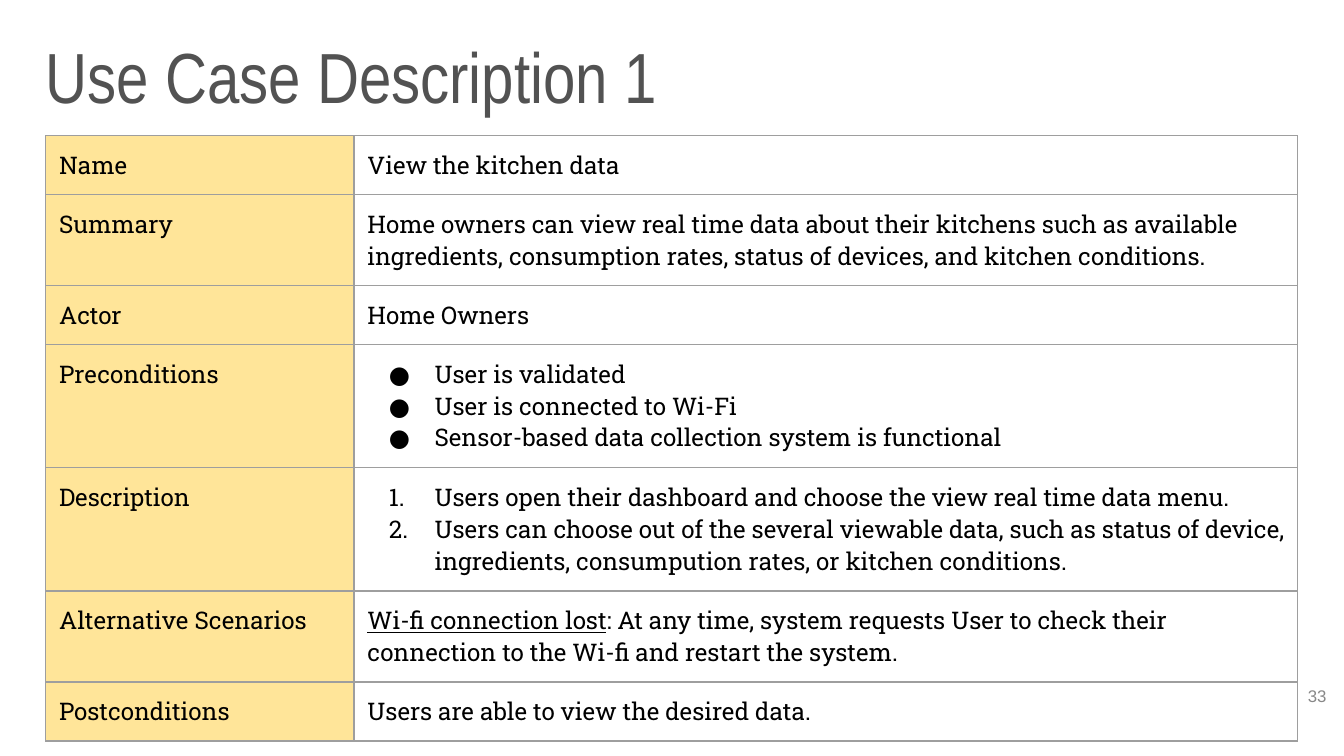
from dataclasses import dataclass

from lxml.etree import SubElement
from pptx import Presentation
from pptx.dml.color import RGBColor as Rgb
from pptx.enum.text import MSO_ANCHOR as Anchor, PP_ALIGN as Align
from pptx.oxml.ns import qn
from pptx.util import Pt

COLORS = {
    "title": "525252",
    "body": "000000",
    "number": "888888",
    "label": "FFE599",
    "border": "9E9E9E",
}
BODY_FONT = "Roboto Slab"
CELL_INSET = 7.2
LINE_HEIGHT = 17.2
COLUMN_WIDTHS = (165.2, 505.4)


@dataclass(frozen=True)
class UseCaseRow:
    label: str
    paragraphs: tuple[str, ...]
    lines: int
    marker: str = ""
    lead: str = ""


USE_CASE = (
    UseCaseRow("Name", ("View the kitchen data",), 1),
    UseCaseRow("Summary", (
        "Home owners can view real time data about their kitchens such as available "
        "ingredients, consumption rates, status of devices, and kitchen conditions.",
    ), 2),
    UseCaseRow("Actor", ("Home Owners",), 1),
    UseCaseRow("Preconditions", (
        "User is validated",
        "User is connected to Wi-Fi",
        "Sensor-based data collection system is functional",
    ), 3, marker="bullet"),
    UseCaseRow("Description", (
        "Users open their dashboard and choose the view real time data menu.",
        "Users can choose out of the several viewable data, such as status of device, "
        "ingredients, consumpution rates, or kitchen conditions.",
    ), 3, marker="number"),
    UseCaseRow("Alternative Scenarios", (
        ": At any time, system requests User to check their "
        "connection to the Wi-fi and restart the system.",
    ), 2, lead="Wi-fi connection lost"),
    UseCaseRow("Postconditions", ("Users are able to view the desired data.",), 1),
)


def write(paragraph, text: str, *, size: float = 13, font: str = BODY_FONT,
          color: str = "body", underline: bool = False, align=None) -> None:
    run = paragraph.add_run()
    run.text = text
    run.font.size = Pt(size)
    run.font.name = font
    run.font.color.rgb = Rgb.from_string(COLORS[color])
    run.font.underline = underline
    if align is not None:
        paragraph.alignment = align


def add_marker(paragraph, marker: str) -> None:
    properties = paragraph._p.get_or_add_pPr()
    properties.set("marL", str(Pt(36)))
    properties.set("indent", str(-Pt(24.5)))
    tint = SubElement(properties, qn("a:buClr"))
    SubElement(tint, qn("a:srgbClr"), val=COLORS["body"])
    SubElement(properties, qn("a:buFont"), typeface=BODY_FONT)
    if marker == "bullet":
        SubElement(properties, qn("a:buChar"), char="●")
    else:
        SubElement(properties, qn("a:buAutoNum"), type="arabicPeriod")


def style_cell(cell, fill: str = "") -> None:
    cell.margin_left = cell.margin_right = Pt(CELL_INSET)
    cell.margin_top = cell.margin_bottom = Pt(CELL_INSET)
    properties = cell._tc.get_or_add_tcPr()
    for side in ("lnL", "lnR", "lnT", "lnB"):
        border = SubElement(properties, qn(f"a:{side}"), w=str(Pt(0.75)))
        paint = SubElement(border, qn("a:solidFill"))
        SubElement(paint, qn("a:srgbClr"), val=COLORS["border"])
    if fill:
        cell.fill.solid()
        cell.fill.fore_color.rgb = Rgb.from_string(COLORS[fill])
    else:
        cell.fill.background()


def fill_row(label_cell, detail_cell, row: UseCaseRow) -> None:
    style_cell(label_cell, "label")
    style_cell(detail_cell)
    write(label_cell.text_frame.paragraphs[0], row.label)
    frame = detail_cell.text_frame
    for index, text in enumerate(row.paragraphs):
        paragraph = frame.add_paragraph() if index else frame.paragraphs[0]
        if row.marker:
            add_marker(paragraph, row.marker)
        if row.lead:
            write(paragraph, row.lead, underline=True)
        write(paragraph, text)


def add_use_case(slide, rows: tuple[UseCaseRow, ...], left: float, top: float) -> None:
    heights = [2 * CELL_INSET + LINE_HEIGHT * row.lines for row in rows]
    table = slide.shapes.add_table(
        len(rows), len(COLUMN_WIDTHS), Pt(left), Pt(top),
        Pt(sum(COLUMN_WIDTHS)), Pt(sum(heights))).table
    table.first_row = table.horz_banding = False
    for column, width in zip(table.columns, COLUMN_WIDTHS):
        column.width = Pt(width)
    for index, (row, height) in enumerate(zip(rows, heights)):
        table.rows[index].height = Pt(height)
        fill_row(table.cell(index, 0), table.cell(index, 1), row)


def add_text(slide, text: str, left: float, top: float, width: float, height: float,
             anchor=Anchor.TOP, **text_format) -> None:
    frame = slide.shapes.add_textbox(Pt(left), Pt(top), Pt(width), Pt(height)).text_frame
    frame.word_wrap = True
    frame.vertical_anchor = anchor
    frame.margin_left = frame.margin_right = Pt(0)
    frame.margin_top = frame.margin_bottom = Pt(0)
    write(frame.paragraphs[0], text, **text_format)


def main() -> None:
    deck = Presentation()
    deck.slide_width, deck.slide_height = Pt(720), Pt(405)
    slide = deck.slides.add_slide(deck.slide_layouts[6])
    add_text(slide, "Use Case Description 1", 24.5, 17.3, 671, 45.4,
             anchor=Anchor.MIDDLE, size=38, font="Arial Narrow", color="title")
    add_use_case(slide, USE_CASE, 24.5, 72.7)
    add_text(slide, "33", 667.4, 367.2, 43.2, 31,
             size=9, font="Arial", color="number", align=Align.RIGHT)
    deck.save("out.pptx")


if __name__ == "__main__":
    main()
